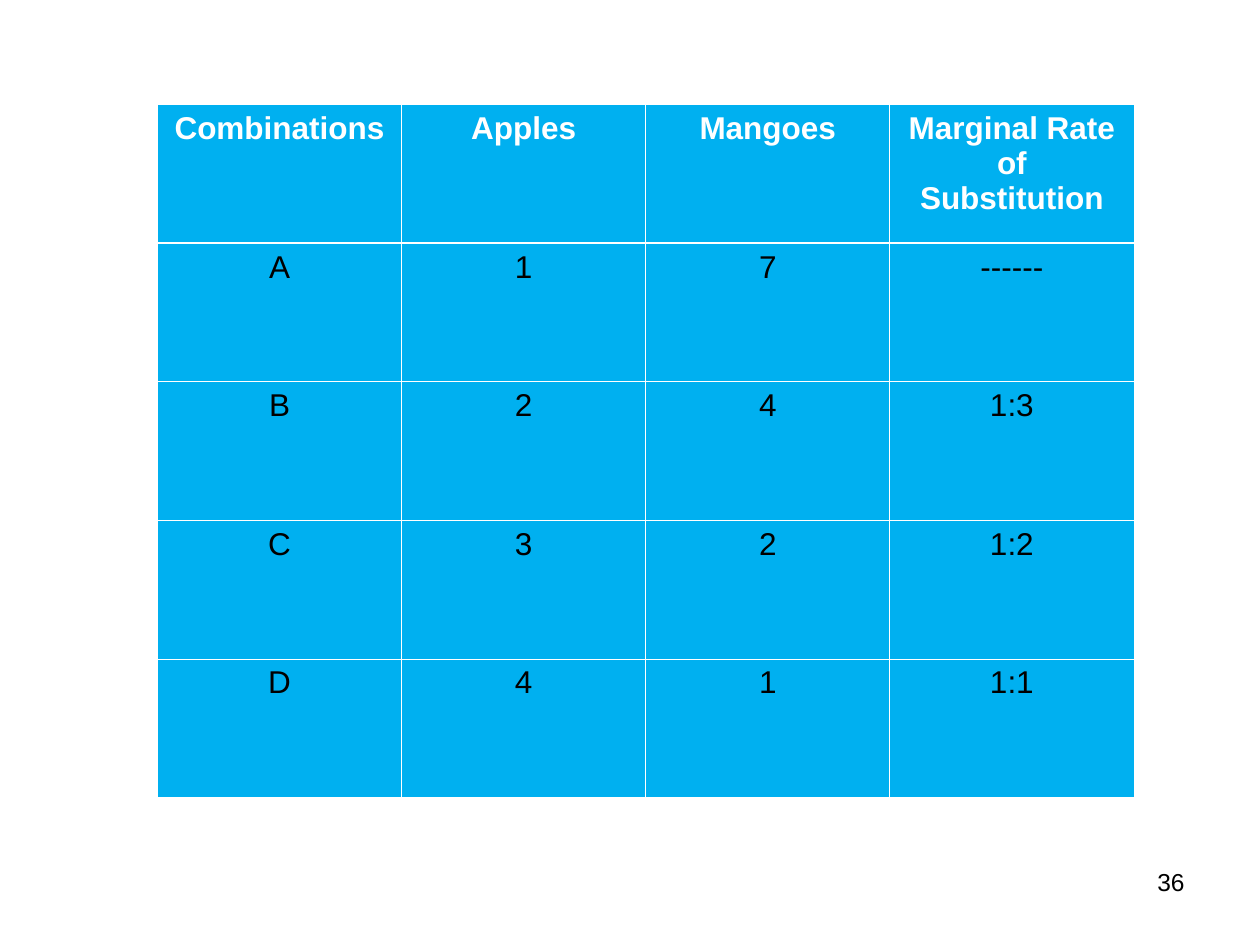
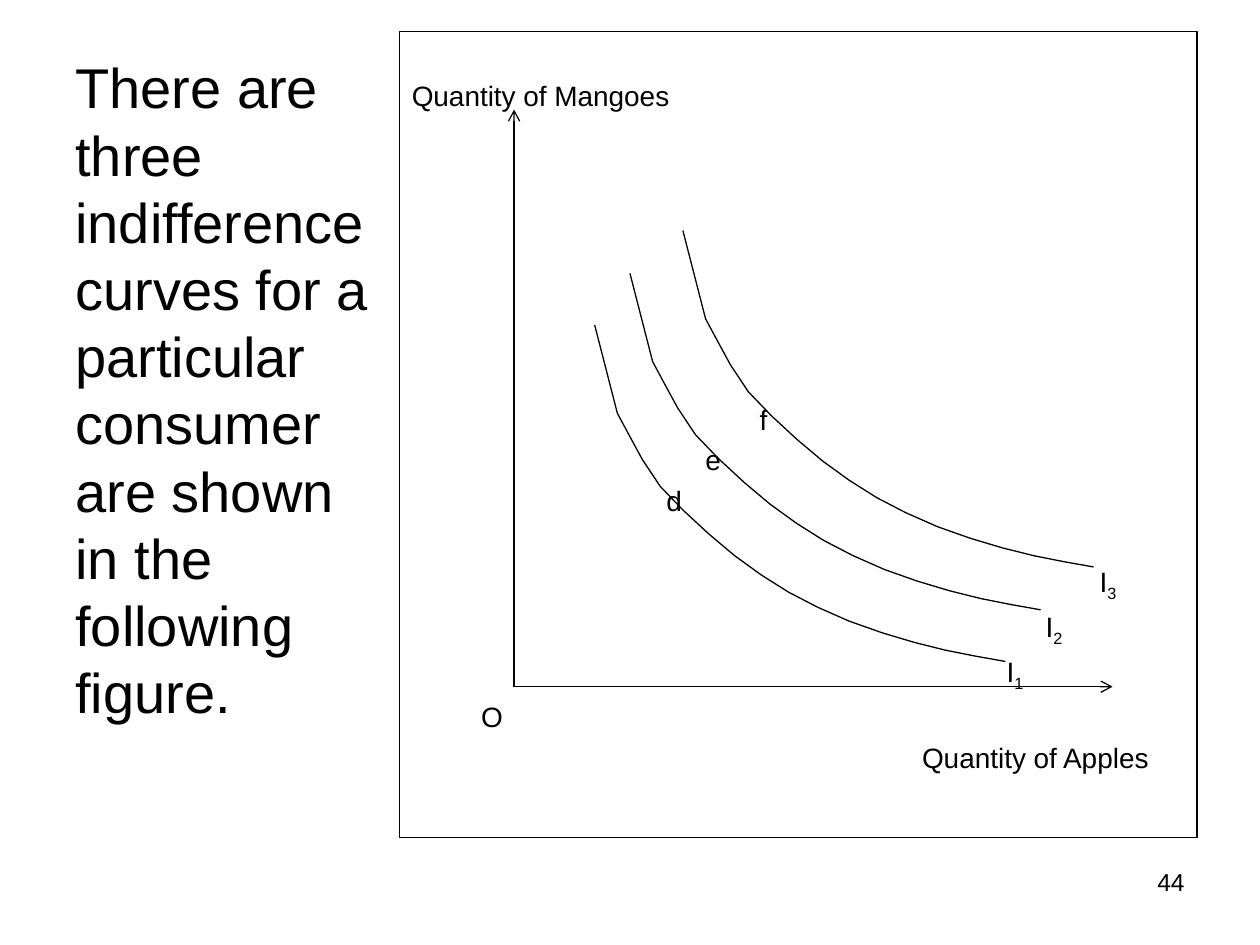
from dataclasses import dataclass

import pptx
import pptx.dml.color
import pptx.enum.shapes
import pptx.enum.text
import pptx.oxml
import pptx.oxml.ns
import pptx.util
from pptx.util import Inches

ALIGN = pptx.enum.text.PP_ALIGN
ANCHOR = pptx.enum.text.MSO_ANCHOR


@dataclass(frozen=True)
class Theme:
    font: str = "Arial"
    ink: str = "000000"
    paper: str = "FFFFFF"
    cell: str = "00B0F0"
    statement_size: float = 32
    table_size: float = 18
    label_size: float = 16
    number_size: float = 14
    line_width: float = 0.75
    rule_width: float = 0.45
    header_rule_width: float = 1.47


@dataclass(frozen=True)
class Label:
    text: str
    left: float
    space_before: float = 4
    subscript: str = ""


@dataclass(frozen=True)
class Point:
    x: float
    y: float


THEME = Theme()

SCHEDULE = [
    ["Combinations", "Apples", "Mangoes", "Marginal Rate of Substitution"],
    ["A", "1", "7", "------"],
    ["B", "2", "4", "1:3"],
    ["C", "3", "2", "1:2"],
    ["D", "4", "1", "1:1"],
]

STATEMENT = (
    "There are three indifference curves for a particular consumer "
    "are shown in the following figure."
)

LABELS = [
    Label("Quantity of Mangoes", 3.27, 0),
    Label("f", 6.03, 166),
    Label("e", 5.6),
    Label("d", 5.29),
    Label("I", 8.73, 27, "3"),
    Label("I", 8.3, subscript="2"),
    Label("I", 7.99, subscript="1"),
    Label("O", 3.82),
    Label("Quantity of Apples", 7.32),
]

FIGURE_LEFT = 3.17
FIGURE_INSET = 0.1
ORIGIN = Point(4.08, 5.45)
AXIS_ENDS = [Point(8.83, 5.45), Point(4.08, 0.87)]

CURVE_STARTS = [Point(5, 2.17), Point(4.72, 2.58), Point(5.42, 1.83)]
CURVE_KINK = Point(0.18, 0.7)
CURVE_BENDS = [
    (Point(0.24, 0.8), Point(0.37, 1.09), Point(0.52, 1.28)),
    (Point(0.68, 1.46), Point(0.91, 1.67), Point(1.11, 1.83)),
    (Point(1.32, 1.99), Point(1.53, 2.13), Point(1.77, 2.24)),
    (Point(2.01, 2.36), Point(2.29, 2.45), Point(2.54, 2.52)),
    (Point(2.79, 2.59), Point(3.03, 2.63), Point(3.26, 2.67)),
]
STEPS_PER_BEND = 3


def color(value: str):
    return pptx.dml.color.RGBColor.from_string(value)


def add_run(paragraph, text: str, size: float, ink: str = THEME.ink, bold: bool = False):
    run = paragraph.add_run()
    run.text = text
    run.font.name = THEME.font
    run.font.size = pptx.util.Pt(size)
    run.font.bold = bold
    run.font.color.rgb = color(ink)
    return run


def add_text_frame(slide, left: float, top: float, width: float, height: float):
    box = slide.shapes.add_textbox(Inches(left), Inches(top), Inches(width), Inches(height))
    box.text_frame.word_wrap = True
    return box.text_frame


def add_page_number(slide, number: int) -> None:
    paragraph = add_text_frame(slide, 7.17, 6.83, 2.33, 0.52).paragraphs[0]
    paragraph.alignment = ALIGN.RIGHT
    add_run(paragraph, str(number), THEME.number_size)


def set_borders(cell, row: int) -> None:
    widths = {
        "L": THEME.rule_width,
        "R": THEME.rule_width,
        "T": THEME.header_rule_width if row == 1 else THEME.rule_width,
        "B": THEME.header_rule_width if row == 0 else THEME.rule_width,
    }
    properties = cell._tc.get_or_add_tcPr()
    for place, (side, width) in enumerate(widths.items()):
        border = pptx.oxml.parse_xml(
            f'<a:ln{side} {pptx.oxml.ns.nsdecls("a")} w="{pptx.util.Pt(width)}">'
            f'<a:solidFill><a:srgbClr val="{THEME.paper}"/></a:solidFill></a:ln{side}>'
        )
        properties.insert(place, border)


def add_schedule(slide) -> None:
    frame = slide.shapes.add_table(
        len(SCHEDULE), len(SCHEDULE[0]), Inches(1.25), Inches(0.83), Inches(7.75), Inches(5.5)
    )
    schedule = frame.table
    schedule.horz_banding = False
    for row, values in enumerate(SCHEDULE):
        is_header = row == 0
        for column, value in enumerate(values):
            cell = schedule.cell(row, column)
            cell.fill.solid()
            cell.fill.fore_color.rgb = color(THEME.cell)
            set_borders(cell, row)
            paragraph = cell.text_frame.paragraphs[0]
            paragraph.alignment = ALIGN.CENTER
            ink = THEME.paper if is_header else THEME.ink
            add_run(paragraph, value, THEME.table_size, ink, is_header)


def set_outline(line) -> None:
    line.color.rgb = color(THEME.ink)
    line.width = pptx.util.Pt(THEME.line_width)


def style_outline(shape) -> None:
    shape.shadow.inherit = False
    shape.fill.background()
    set_outline(shape.line)


def add_axis(slide, end: Point) -> None:
    axis = slide.shapes.add_connector(
        pptx.enum.shapes.MSO_CONNECTOR.STRAIGHT,
        Inches(ORIGIN.x), Inches(ORIGIN.y), Inches(end.x), Inches(end.y),
    )
    set_outline(axis.line)
    namespace = pptx.oxml.ns.nsdecls("a")
    axis.line._get_or_add_ln().append(
        pptx.oxml.parse_xml(f'<a:tailEnd {namespace} type="arrow"/>')
    )
    axis._element.spPr.append(pptx.oxml.parse_xml(f"<a:effectLst {namespace}/>"))


def bezier(p0: float, p1: float, p2: float, p3: float, t: float) -> float:
    u = 1 - t
    return u**3 * p0 + 3 * u**2 * t * p1 + 3 * u * t**2 * p2 + t**3 * p3


def curve_points() -> list[Point]:
    points = [CURVE_KINK]
    for first, second, end in CURVE_BENDS:
        start = points[-1]
        for step in range(1, STEPS_PER_BEND + 1):
            t = step / STEPS_PER_BEND
            points.append(Point(
                bezier(start.x, first.x, second.x, end.x, t),
                bezier(start.y, first.y, second.y, end.y, t),
            ))
    return points


def add_indifference_curve(slide, start: Point) -> None:
    builder = slide.shapes.build_freeform(Inches(start.x), Inches(start.y))
    builder.add_line_segments(
        [(Inches(start.x + p.x), Inches(start.y + p.y)) for p in curve_points()],
        close=False,
    )
    style_outline(builder.convert_to_shape())


def write_label(paragraph, label: Label) -> None:
    paragraph.alignment = ALIGN.LEFT
    paragraph.space_before = pptx.util.Pt(label.space_before)
    indent = Inches(label.left - FIGURE_LEFT - FIGURE_INSET)
    paragraph._p.get_or_add_pPr().set("marL", str(indent))
    add_run(paragraph, label.text, THEME.label_size)
    if label.subscript:
        subscript = add_run(paragraph, label.subscript, THEME.label_size)
        subscript.font._element.set("baseline", "-25000")


def add_figure(slide) -> None:
    figure = slide.shapes.add_shape(
        pptx.enum.shapes.MSO_SHAPE.RECTANGLE,
        Inches(FIGURE_LEFT), Inches(0.25), Inches(6.33), Inches(6.4),
    )
    style_outline(figure)
    frame = figure.text_frame
    frame.word_wrap = True
    frame.vertical_anchor = ANCHOR.TOP
    frame.margin_left = frame.margin_right = Inches(FIGURE_INSET)
    frame.margin_top = Inches(0.37)
    for index, label in enumerate(LABELS):
        write_label(frame.add_paragraph() if index else frame.paragraphs[0], label)


def add_statement(slide) -> None:
    paragraph = add_text_frame(slide, 0.5, 0.37, 2.58, 6.28).paragraphs[0]
    add_run(paragraph, STATEMENT, THEME.statement_size)


def main() -> None:
    deck = pptx.Presentation()
    deck.slide_width = Inches(10)
    deck.slide_height = Inches(7.5)
    blank = deck.slide_layouts[6]

    schedule_slide = deck.slides.add_slide(blank)
    add_schedule(schedule_slide)
    add_page_number(schedule_slide, 36)

    curves_slide = deck.slides.add_slide(blank)
    add_figure(curves_slide)
    add_statement(curves_slide)
    for end in AXIS_ENDS:
        add_axis(curves_slide, end)
    for start in CURVE_STARTS:
        add_indifference_curve(curves_slide, start)
    add_page_number(curves_slide, 44)

    deck.save("out.pptx")


if __name__ == "__main__":
    main()
